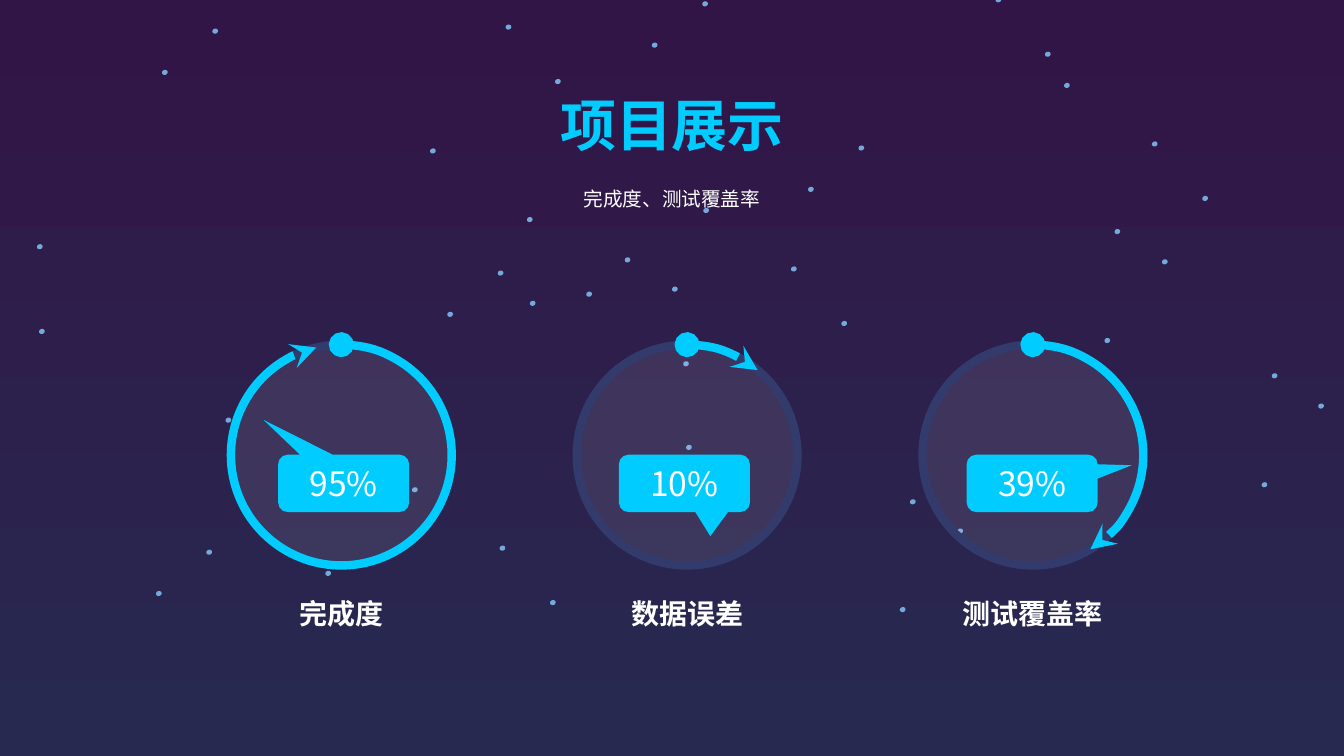
import pptx
import pptx.util
import pptx.dml.color
import pptx.enum.shapes
import pptx.enum.text
import pptx.oxml.ns
import lxml.etree

Pt = pptx.util.Pt
KIND = pptx.enum.shapes.MSO_SHAPE
FIT = pptx.enum.text.MSO_AUTO_SIZE.SHAPE_TO_FIT_TEXT
TOP = pptx.enum.text.MSO_ANCHOR.TOP
MID = pptx.enum.text.MSO_ANCHOR.MIDDLE
FACE = "Noto Sans CJK SC"
CYAN, WHITE, RING, STAR = "00CCFF", "FFFFFF", "333B6C", "73A9DB"
qn = pptx.oxml.ns.qn


def tint(color, code):
    color.rgb = pptx.dml.color.RGBColor.from_string(code)


def write(shape, text, size, code=WHITE, bold=False, anchor=TOP):
    """Put one centred line of styled text in a shape."""
    frame = shape.text_frame
    look = {"word_wrap": True, "vertical_anchor": anchor}
    if anchor == TOP:
        look["auto_size"] = FIT
    for key, value in look.items():
        setattr(frame, key, value)
    line = frame.paragraphs[0]
    line.alignment = pptx.enum.text.PP_ALIGN.CENTER
    run = line.add_run()
    run.text = text
    for key, value in {"size": Pt(size), "bold": bold, "name": FACE}.items():
        setattr(run.font, key, value)
    tint(run.font.color, code)
    east = lxml.etree.SubElement(run.font._element, qn("a:ea"))
    east.set("typeface", FACE)


deck = pptx.Presentation()
deck.slide_width, deck.slide_height = Pt(960), Pt(540)
slide = deck.slides.add_slide(deck.slide_layouts[5])
shapes = slide.shapes

# Night sky
sky = slide.background.fill
sky.gradient()
sky.gradient_angle = 270
for stop, code in zip(sky.gradient_stops, ("321547", "272950")):
    tint(stop.color, code)

stars = [
    (823, 100.8), (490.3, 317.5), (577.4, 133.2), (613.4, 103.7), (419, 208.1),
    (488.2, 257.8), (760.3, 59), (859, 139.7), (941.8, 288), (908.6, 266.4),
    (901.4, 344.2), (565.2, 190.1), (232.6, 407.5), (319.7, 222.5), (355.7, 193),
    (161.3, 298.1), (230.4, 347), (502.6, 148.3), (601.2, 229), (684, 377.3),
    (650.2, 356.4), (643, 433.4), (361.4, 17.3), (28.1, 234.7), (115.9, 49.7),
    (151.9, 20.2), (26.6, 174.2), (396.7, 56.2), (480.2, 204.5), (446.4, 183.6),
    (439.2, 260.6), (711.4, -2.2), (378.7, 214.6), (465.8, 30.2), (501.8, 0.7),
    (307.4, 105.8), (376.6, 154.8), (746.6, 36.7), (830.2, 185), (796.3, 163.4),
    (789.1, 241.2), (357.1, 389.5), (111.6, 421.9), (147.6, 392.4), (294.5, 347.8),
    (393.1, 428.4),
]
for left, top in stars:
    star = shapes.add_shape(KIND.OVAL, Pt(left), Pt(top), Pt(3.6), Pt(4.1))
    star.rotation = 71.4
    star.shadow.inherit = False
    star.fill.solid()
    tint(star.fill.fore_color, STAR)
    star.line.fill.background()

# Heading
title = shapes.title
place = {"left": 237.4, "top": 61.2, "width": 485.2, "height": 55.4}
for key, value in place.items():
    setattr(title, key, Pt(value))
write(title, "项目展示", 40, CYAN, True)
note = shapes.add_textbox(Pt(127), Pt(130.3), Pt(706), Pt(24.5))
write(note, "完成度、测试覆盖率", 14)

# Gauges: label, value, arc end in degrees, callout shift, callout tip
gauges = [
    ("完成度", "95%", 256.89, 1.7, (-0.612, -1.107)),
    ("数据误差", "10%", 309.69, -1.9, (0.198, 0.92)),
    ("测试覆盖率", "39%", 58.61, -0.5, (0.759, -0.315)),
]
SIZE, STEP, FIRST = 157.7, 247, 243.8
for col, (label, value, end, shift, tip) in enumerate(gauges):
    mid = FIRST + col * STEP
    box = [Pt(n) for n in (mid - SIZE / 2, 246.2, SIZE, SIZE)]

    disc = shapes.add_shape(KIND.OVAL, *box)
    disc.fill.solid()
    tint(disc.fill.fore_color, WHITE)
    paint = disc._element.spPr.find(qn("a:solidFill"))[0]
    lxml.etree.SubElement(paint, qn("a:alpha")).set("val", "9000")

    arc = shapes.add_shape(KIND.ARC, *box)
    arc.fill.background()
    for pos, angle in enumerate((270, end)):
        arc.adjustments[pos] = angle * 0.6

    for shape, code in ((disc, RING), (arc, CYAN)):
        shape.shadow.inherit = False
        shape.line.width = Pt(6)
        tint(shape.line.color, code)
    edge = arc._element.spPr.find(qn("a:ln"))
    for tag, kind in (("a:headEnd", "oval"), ("a:tailEnd", "stealth")):
        lxml.etree.SubElement(edge, qn(tag)).set("type", kind)

    flag = shapes.add_shape(KIND.ROUNDED_RECTANGULAR_CALLOUT,
                            Pt(mid + shift - 46.8), Pt(324.8), Pt(93.6), Pt(41))
    for pos, part in enumerate((*tip, 0.167)):
        flag.adjustments[pos] = part
    flag.shadow.inherit = False
    flag.fill.solid()
    tint(flag.fill.fore_color, CYAN)
    flag.line.fill.background()
    write(flag, value, 24, anchor=MID)

    name = shapes.add_textbox(Pt(mid - 95), Pt(422.6), Pt(190), Pt(31.7))
    write(name, label, 20, bold=True)

deck.save("out.pptx")
